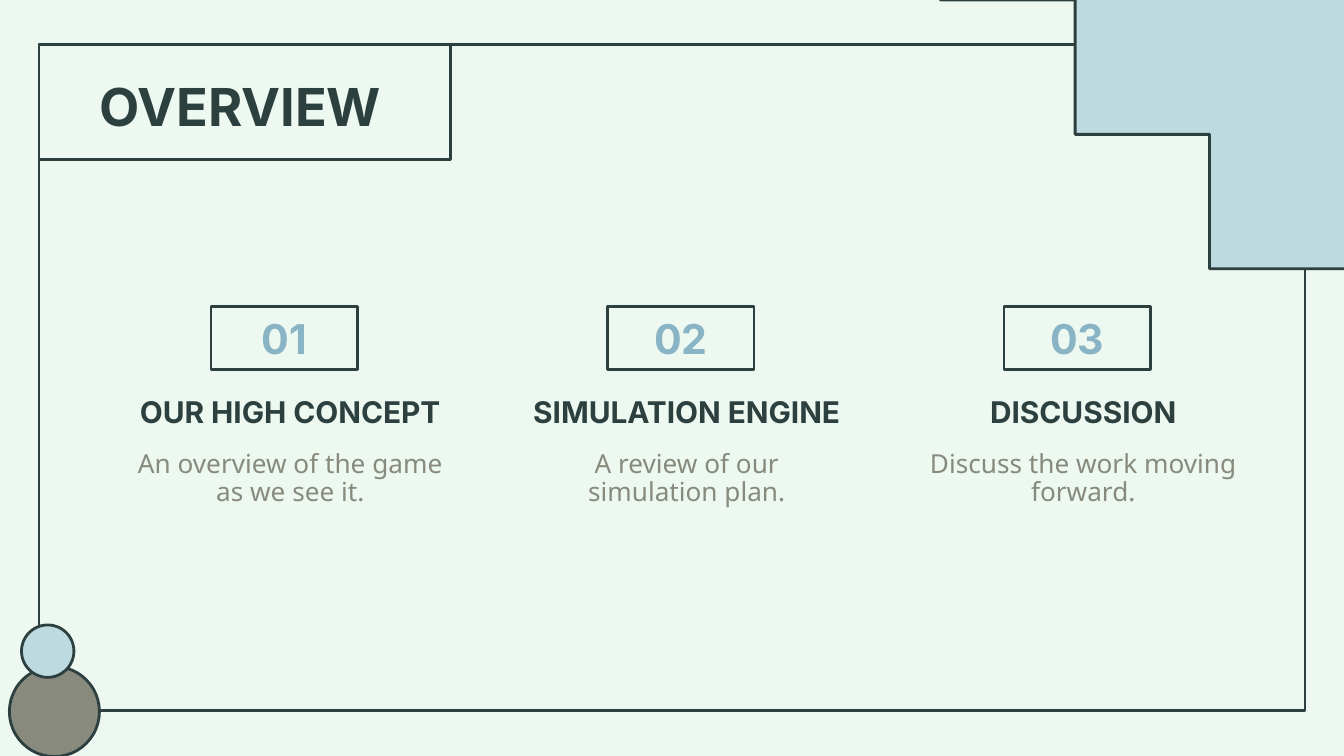
from pptx import Presentation
from pptx.dml.color import RGBColor
from pptx.enum.shapes import MSO_SHAPE
from pptx.enum.text import MSO_ANCHOR, MSO_AUTO_SIZE, PP_ALIGN
from pptx.util import Inches, Pt

MINT = RGBColor(0xED, 0xF8, 0xF0)
DARK = RGBColor(0x2D, 0x40, 0x40)
PALE = RGBColor(0xBD, 0xDA, 0xE0)
BLUE = RGBColor(0x88, 0xB4, 0xC5)
GREY = RGBColor(0x87, 0x8A, 0x7D)

LEFT, STEP, WIDE = 0.87, 2.95, 2.58  # column grid
EDGE, TOP = 0.29, 0.33  # frame corner

HEAD = {"name": "Inter", "bold": True}
TITLE = {**HEAD, "size": Pt(28)}
BADGE = {**HEAD, "size": Pt(22)}
NAME = {**HEAD, "size": Pt(16)}
NOTE = {"name": "Noto Sans", "bold": False, "size": Pt(14)}

TOPICS = [
    ("01", "OUR HIGH CONCEPT", "An overview of the game as we see it."),
    ("02", "SIMULATION ENGINE", "A review of our simulation plan."),
    ("03", "DISCUSSION", "Discuss the work moving forward."),
]

START = (6.57, -0.17)
CURVES = [  # two controls and an end point each
    ((6.57, -0.17), (6.69, -0.24), (6.91, -0.24)),
    ((7.12, -0.24), (7.42, -0.18), (7.79, 0.08)),
    ((8.55, 0.6), (8.56, 1.12), (9.39, 1.57)),
    ((9.68, 1.73), (9.95, 1.78), (10.17, 1.78)),
    ((10.52, 1.78), (10.75, 1.64), (10.75, 1.64)),
]


def assign(item, values):
    for key, value in values.items():
        setattr(item, key, value)


def outline(shape, fill=None):
    """Give a shape the dark line and a solid fill or none."""
    if fill is None:
        shape.fill.background()
    else:
        shape.fill.solid()
        shape.fill.fore_color.rgb = fill
    shape.line.color.rgb = DARK
    shape.line.width = Pt(1.5)


def draw(slide, kind, box, fill=None):
    shape = slide.shapes.add_shape(kind, *map(Inches, box))
    shape.shadow.inherit = False
    outline(shape, fill)
    return shape


def write(shape, text, style, color, align=PP_ALIGN.CENTER, left=0.1, low=0.1, space=1.0):
    frame = shape.text_frame
    assign(frame, {
        "word_wrap": True,
        "auto_size": MSO_AUTO_SIZE.NONE,
        "vertical_anchor": MSO_ANCHOR.MIDDLE,
        "margin_left": Inches(left),
        "margin_right": Inches(0.1),
        "margin_top": Inches(0.1),
        "margin_bottom": Inches(low),
    })
    line = frame.paragraphs[0]
    assign(line, {"alignment": align, "line_spacing": space})
    run = line.add_run()
    run.text = text
    assign(run.font, style)
    run.font.color.rgb = color


def label(slide, box, text, style, color, space=1.0):
    shape = slide.shapes.add_textbox(*map(Inches, box))
    write(shape, text, style, color, space=space)


def trace(start, curves, count=24):
    """Return points along a chain of cubic curves."""
    points = []
    for one, two, end in curves:
        for i in range(1, count + 1):
            t = i / count
            u = 1 - t
            points.append(tuple(
                u**3 * a + 3 * u * u * t * b + 3 * u * t * t * c + t**3 * d
                for a, b, c, d in zip(start, one, two, end)
            ))
        start = end
    return points


def wave(slide):
    pen = slide.shapes.build_freeform(10.02, -2.03, scale=Inches(1))
    pen.add_line_segments([(6.35, -1.36), START, *trace(START, CURVES)], close=True)
    shape = pen.convert_to_shape()
    shape.shadow.inherit = False
    outline(shape, PALE)


def topic(slide, col, number, name, note):
    left = LEFT + col * STEP
    badge = draw(slide, MSO_SHAPE.RECTANGLE, (left + 0.7, 2.28, 1.09, 0.47))
    write(badge, number, BADGE, BLUE)
    label(slide, (left, 2.81, WIDE, 0.5), name, NAME, DARK)
    label(slide, (left, 3.25, WIDE, 0.63), note, NOTE, GREY, space=0.9)


def heading(slide, text):
    title = slide.shapes.title
    box = map(Inches, (EDGE, TOP, 3.06, 0.86))
    assign(title, dict(zip(("left", "top", "width", "height"), box)))
    outline(title)
    write(title, text, TITLE, DARK, PP_ALIGN.LEFT, left=0.45, low=0.05)


def main():
    deck = Presentation()
    assign(deck, {"slide_width": Inches(10), "slide_height": Inches(5.625)})
    slide = deck.slides.add_slide(deck.slide_layouts[5])
    back = slide.background.fill
    back.solid()
    back.fore_color.rgb = MINT

    draw(slide, MSO_SHAPE.RECTANGLE, (EDGE, TOP, 9.42, 4.96))
    wave(slide)
    draw(slide, MSO_SHAPE.OVAL, (0.07, 4.96, 0.67, 0.67), GREY)
    draw(slide, MSO_SHAPE.OVAL, (0.16, 4.65, 0.39, 0.39), PALE)
    for col, words in enumerate(TOPICS):
        topic(slide, col, *words)
    heading(slide, "OVERVIEW")
    deck.save("out.pptx")


if __name__ == "__main__":
    main()
